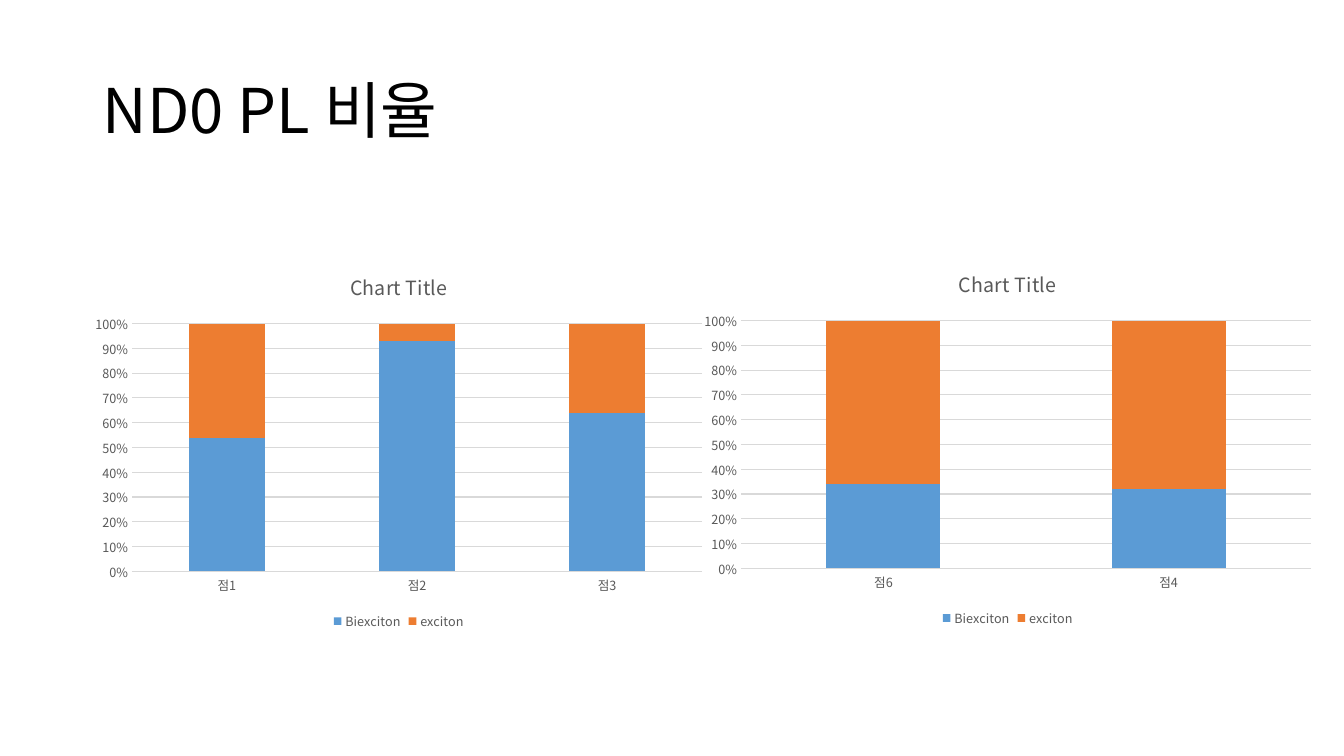
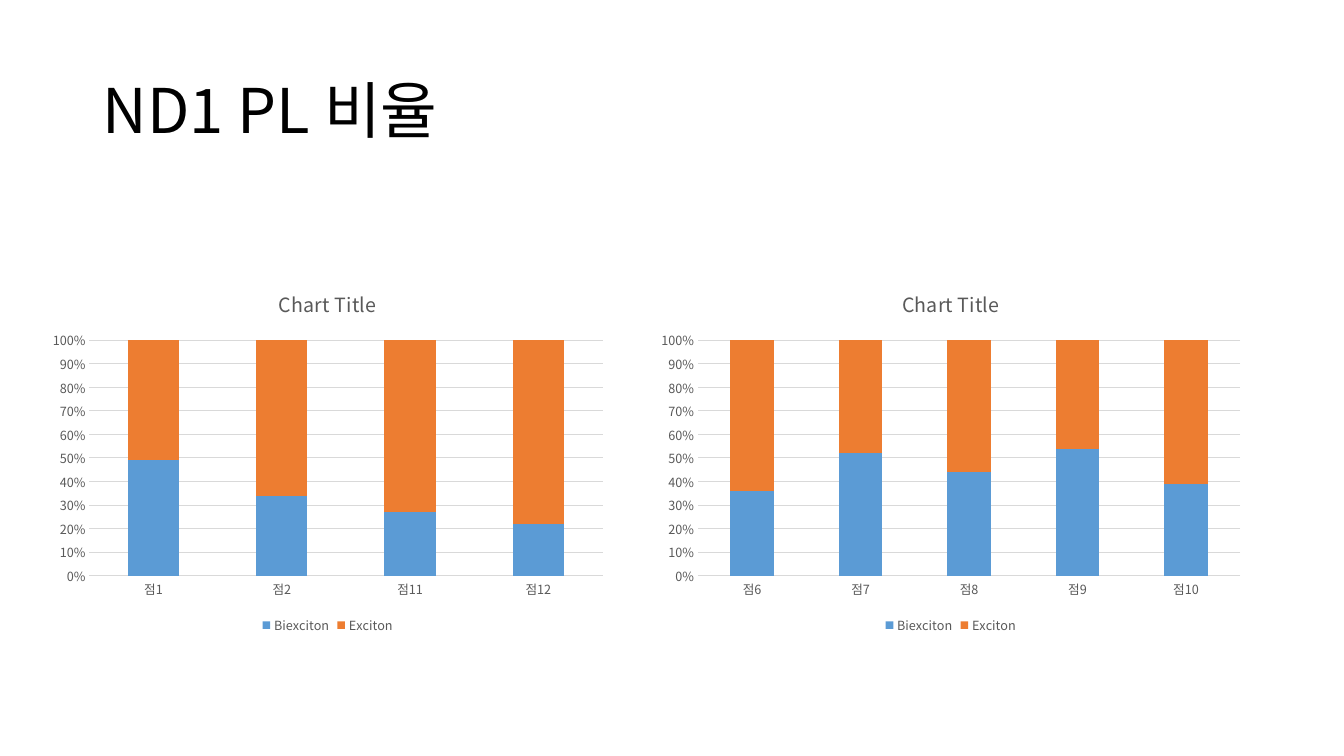
from pptx import Presentation
from pptx.chart import data
from pptx.dml import color
from pptx.enum import chart as charts, text
from pptx.oxml import ns
from pptx.util import Inches, Pt
from lxml import etree

FONT = "Noto Sans CJK KR"
BLACK, GREY, GRID = "000000", "595959", "D9D9D9"
BIEXCITON, EXCITON = "5B9BD5", "ED7D31"

SLIDES = [
    ("ND0 PL 비율", "exciton", [
        ((0.82, 2.52, 6.27, 3.77), {"점1": 54, "점2": 93, "점3": 64}),
        ((6.86, 2.49, 6.27, 3.77), {"점6": 34, "점4": 32}),
    ]),
    ("ND1 PL 비율", "Exciton", [
        ((0.41, 2.69, 5.68, 3.64), {"점1": 49, "점2": 34, "점11": 27, "점12": 22}),
        ((6.44, 2.69, 5.98, 3.64),
         {"점6": 36, "점7": 52, "점8": 44, "점9": 54, "점10": 39}),
    ]),
]


def rgb(value):
    """Turn a hex string into a colour."""
    return color.RGBColor.from_string(value)


def style_font(font, size, shade):
    """Set size, colour and typeface for Latin and Korean letters."""
    font.size = Pt(size)
    font.bold = False
    font.color.rgb = rgb(shade)
    font.name = FONT
    korean = etree.SubElement(font._rPr, ns.qn("a:ea"))
    korean.set("typeface", FONT)


def style_line(line):
    """Give an axis or grid line the thin light grey stroke."""
    line.color.rgb = rgb(GRID)
    line.width = Pt(0.75)


def add_title(slide, wording):
    """Add the slide title."""
    title = slide.shapes.add_textbox(
        Inches(0.92), Inches(0.4), Inches(11.5), Inches(1.45))
    frame = title.text_frame
    frame.word_wrap = True
    frame.vertical_anchor = text.MSO_ANCHOR.MIDDLE
    frame.text = wording
    heading = frame.paragraphs[0]
    heading.line_spacing = 0.9
    style_font(heading.runs[0].font, 44, BLACK)


def style_axes(chart):
    """Style the category and percentage axes."""
    for axis in (chart.category_axis, chart.value_axis):
        axis.major_tick_mark = axis.minor_tick_mark = charts.XL_TICK_MARK.NONE
        style_font(axis.tick_labels.font, 9, GREY)
    style_line(chart.category_axis.format.line)
    percent = chart.value_axis
    percent.format.line.fill.background()
    percent.has_major_gridlines = True
    style_line(percent.major_gridlines.format.line)
    percent.tick_labels.number_format = "0%"
    percent.tick_labels.number_format_is_linked = False


def add_ratio_chart(slide, box, biexciton, exciton_name):
    """Add a stacked chart of the biexciton share and its remainder."""
    ratios = data.CategoryChartData()
    ratios.categories = list(biexciton)
    ratios.add_series("Biexciton", list(biexciton.values()))
    ratios.add_series(exciton_name, [100 - share for share in biexciton.values()])
    chart = slide.shapes.add_chart(
        charts.XL_CHART_TYPE.COLUMN_STACKED_100, *map(Inches, box), ratios).chart
    style_font(chart.font, 10, BLACK)

    chart.has_title = True
    heading = chart.chart_title.text_frame
    heading.text = "Chart Title"
    style_font(heading.paragraphs[0].runs[0].font, 14, GREY)
    chart.chart_title.include_in_layout = False

    chart.has_legend = True
    chart.legend.position = charts.XL_LEGEND_POSITION.BOTTOM
    chart.legend.include_in_layout = False
    style_font(chart.legend.font, 9, GREY)

    style_axes(chart)
    columns = chart.plots[0]
    columns.vary_by_categories = False
    columns.gap_width = 150
    columns.overlap = 100
    for series, shade in zip(columns.series, (BIEXCITON, EXCITON)):
        series.format.fill.solid()
        series.format.fill.fore_color.rgb = rgb(shade)


def main():
    """Build and save the presentation."""
    deck = Presentation()
    deck.slide_width, deck.slide_height = Inches(13.33), Inches(7.5)
    for wording, exciton_name, panels in SLIDES:
        slide = deck.slides.add_slide(deck.slide_layouts[6])
        add_title(slide, wording)
        for box, biexciton in panels:
            add_ratio_chart(slide, box, biexciton, exciton_name)
    deck.save("out.pptx")


if __name__ == "__main__":
    main()
